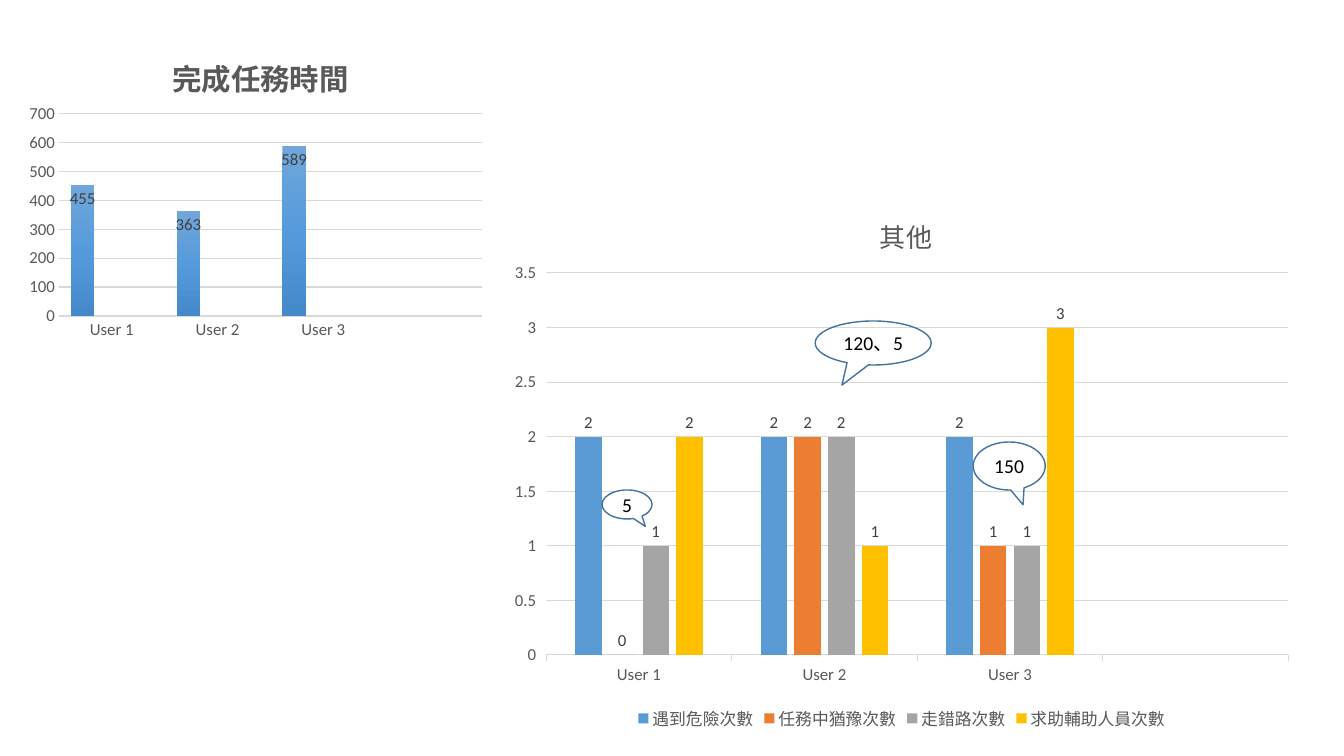
"""Slide with task times, other counts per user and three callouts."""
from copy import deepcopy

from pptx import Presentation
from pptx.chart.data import CategoryChartData
from pptx.dml.color import RGBColor
from pptx.enum.chart import XL_CHART_TYPE, XL_LABEL_POSITION, XL_LEGEND_POSITION, XL_TICK_MARK
from pptx.enum.shapes import MSO_SHAPE
from pptx.enum.text import MSO_ANCHOR, PP_ALIGN
from pptx.oxml import parse_xml
from pptx.oxml.ns import nsdecls
from pptx.util import Inches, Pt

PX = Inches(1) / 100.8
COLORS = {
    "text": "595959", "label": "404040", "grid": "D9D9D9", "edge": "43739E",
    "white": "FFFFFF", "black": "000000",
    "blue": "5B9BD5", "orange": "ED7D31", "gray": "A5A5A5", "gold": "FFC000",
}
FADES = [
    ("71A6DB", "559BDB", "448ACA"),
    ("F18C57", "F67B28", "E56C19"),
    ("AFAFAF", "A5A5A5", "939393"),
]
EMPTY = [None] * 4
CHARTS = [
    dict(box=(20, 26, 472, 321), plot=(59, 114, 423, 202), head=(167, 48),
         title="完成任務時間", size=21, bold=True, gap=100, overlap=-24,
         tick=XL_TICK_MARK.NONE, line=1, place=XL_LABEL_POSITION.INSIDE_END, top=700, step=100,
         rows=[("Series 1", [455, 363, 589, None], FADES[0]),
               ("Series 2", EMPTY, FADES[1]),
               ("Series 3", EMPTY, FADES[2])]),
    dict(box=(499, 182, 805, 553), plot=(546, 273, 742, 382), head=(875, 209),
         title="其他", size=18.6, bold=False, gap=219, overlap=-27,
         tick=XL_TICK_MARK.OUTSIDE, line=0.75, place=XL_LABEL_POSITION.OUTSIDE_END, top=3.5, step=0.5,
         rows=[("遇到危險次數", [2, 2, 2, None], ["blue"]),
               ("任務中猶豫次數", [0, 2, 1, None], ["orange"]),
               ("走錯路次數", [1, 2, 1, None], ["gray"]),
               ("求助輔助人員次數", [2, 1, 3, None], ["gold"])]),
]
CALLOUTS = [
    ("5", (602, 490, 50, 29), (0.365, 0.755), True),
    ("120、5", (815, 321, 116, 44), (-0.27, 0.958), False),
    ("150", (973, 442, 72, 48), (0.192, 0.809), False),
]


def style(font, color, size=12, bold=False):
    font.name = "Calibri"
    font.size = Pt(size)
    font.bold = bold
    font.color.rgb = RGBColor.from_string(COLORS[color])


def layout(box, spot, inner=False):
    left, top, width, height = box
    parts = [("x", (spot[0] - left) / width), ("y", (spot[1] - top) / height)]
    if inner:
        parts += [("w", spot[2] / width), ("h", spot[3] / height)]
    target = '<c:layoutTarget val="inner"/>' if inner else ""
    modes = '<c:xMode val="edge"/><c:yMode val="edge"/>'
    sizes = "".join(f'<c:{key} val="{val:.4f}"/>' for key, val in parts)
    return parse_xml(f'<c:layout {nsdecls("c")}><c:manualLayout>{target}{modes}{sizes}'
                     '</c:manualLayout></c:layout>')


deck = Presentation()
deck.slide_width, deck.slide_height = Inches(13.33), Inches(7.5)
slide = deck.slides.add_slide(deck.slide_layouts[6])

for item in CHARTS:
    data = CategoryChartData()
    data.categories = ["User 1", "User 2", "User 3", ""]
    for name, vals, tint in item["rows"]:
        data.add_series(name, vals)
    box = [round(n * PX) for n in item["box"]]
    chart = slide.shapes.add_chart(XL_CHART_TYPE.COLUMN_CLUSTERED, *box, data).chart
    style(chart.font, "text")

    head = chart.chart_title
    head.text_frame.text = item["title"]
    style(head.text_frame.paragraphs[0].runs[0].font, "text", item["size"], item["bold"])
    head.include_in_layout = False
    for old in head._element.xpath("c:layout"):
        head._element.remove(old)
    head._element.xpath("c:tx")[0].addnext(layout(item["box"], item["head"]))
    area = chart._chartSpace.chart.plotArea
    for old in area.xpath("c:layout"):
        area.remove(old)
    area.insert(0, layout(item["box"], item["plot"], True))

    for axis in (chart.category_axis, chart.value_axis):
        axis.major_tick_mark = item["tick"]
        axis.minor_tick_mark = XL_TICK_MARK.NONE
        style(axis.tick_labels.font, "text")
    base, scale = chart.category_axis, chart.value_axis
    scale.minimum_scale, scale.maximum_scale, scale.major_unit = 0, item["top"], item["step"]
    scale.format.line.fill.background()
    for line, width in ((base.format.line, item["line"]), (scale.major_gridlines.format.line, 0.75)):
        line.color.rgb = RGBColor.from_string(COLORS["grid"])
        line.width = Pt(width)

    plot = chart.plots[0]
    plot.gap_width, plot.overlap = item["gap"], item["overlap"]
    plot.vary_by_categories = False
    for series, (name, vals, tint) in zip(plot.series, item["rows"]):
        series.invert_if_negative = False
        fill = series.format.fill
        if len(tint) == 1:
            fill.solid()
            fill.fore_color.rgb = RGBColor.from_string(COLORS[tint[0]])
        else:
            fill.gradient()
            fill.gradient_angle = 270
            stops = series._element.xpath(".//a:gsLst")[0]
            stops.append(deepcopy(stops[-1]))
            for i, (stop, shade) in enumerate(zip(fill.gradient_stops, tint)):
                stop.position = i / 2
                stop.color.rgb = RGBColor.from_string(shade)
        labels = series.data_labels
        labels.show_value = True
        labels.position = item["place"]
        style(labels.font, "label")

    chart.has_legend = item is CHARTS[1]
    if chart.has_legend:
        chart.legend.position = XL_LEGEND_POSITION.BOTTOM
        chart.legend.include_in_layout = False
        style(chart.legend.font, "text")

for text, box, tip, solid in CALLOUTS:
    shape = slide.shapes.add_shape(MSO_SHAPE.OVAL_CALLOUT, *[round(n * PX) for n in box])
    shape.shadow.inherit = False
    shape.adjustments[0], shape.adjustments[1] = tip
    if solid:
        shape.fill.solid()
        shape.fill.fore_color.rgb = RGBColor.from_string(COLORS["white"])
    else:
        shape.fill.background()
    shape.line.color.rgb = RGBColor.from_string(COLORS["edge"])
    shape.line.width = Pt(1)
    frame = shape.text_frame
    frame.text = text
    frame.word_wrap = True
    frame.vertical_anchor = MSO_ANCHOR.MIDDLE
    frame.paragraphs[0].alignment = PP_ALIGN.CENTER
    style(frame.paragraphs[0].runs[0].font, "black", 14)

deck.save("out.pptx")
